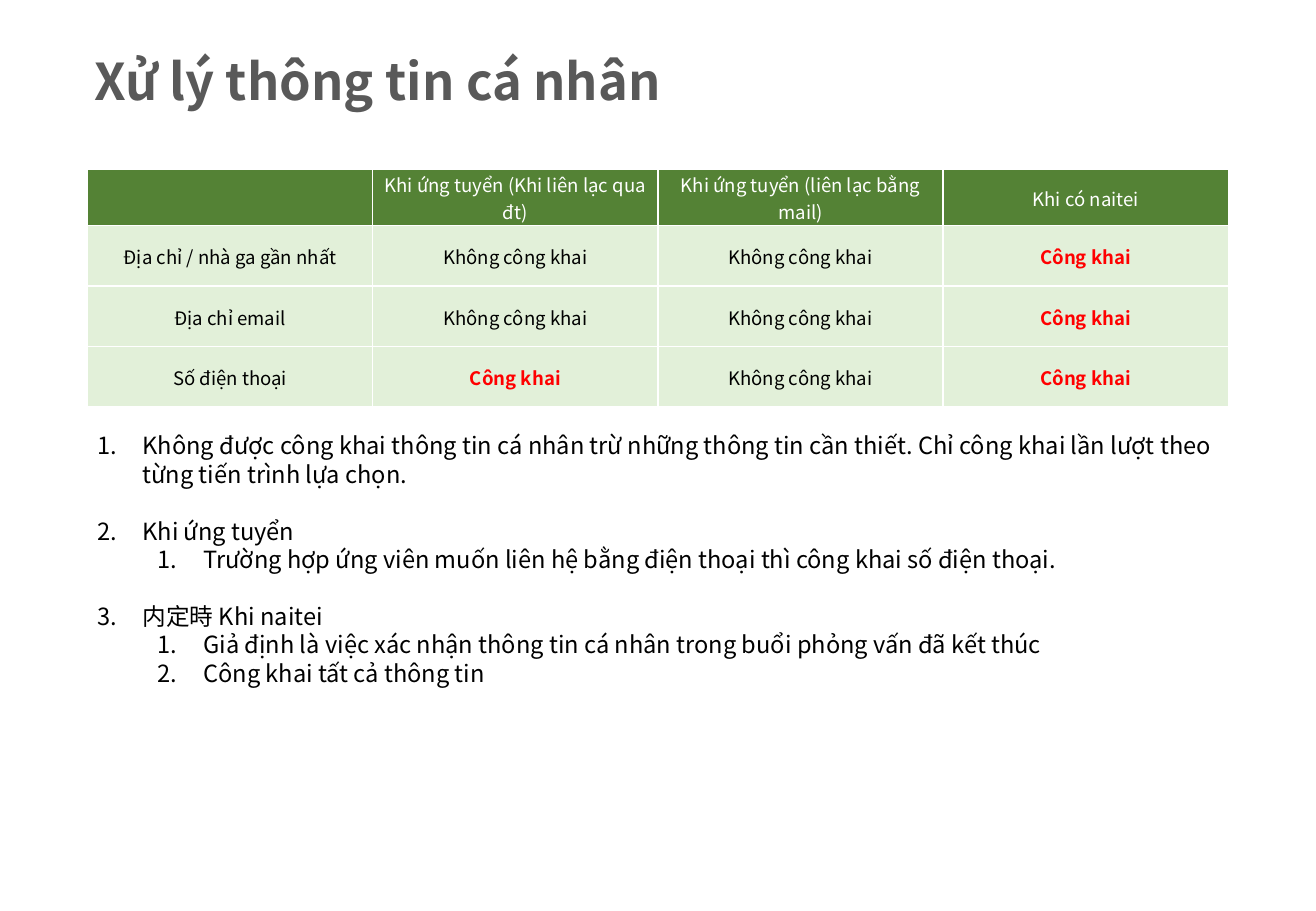
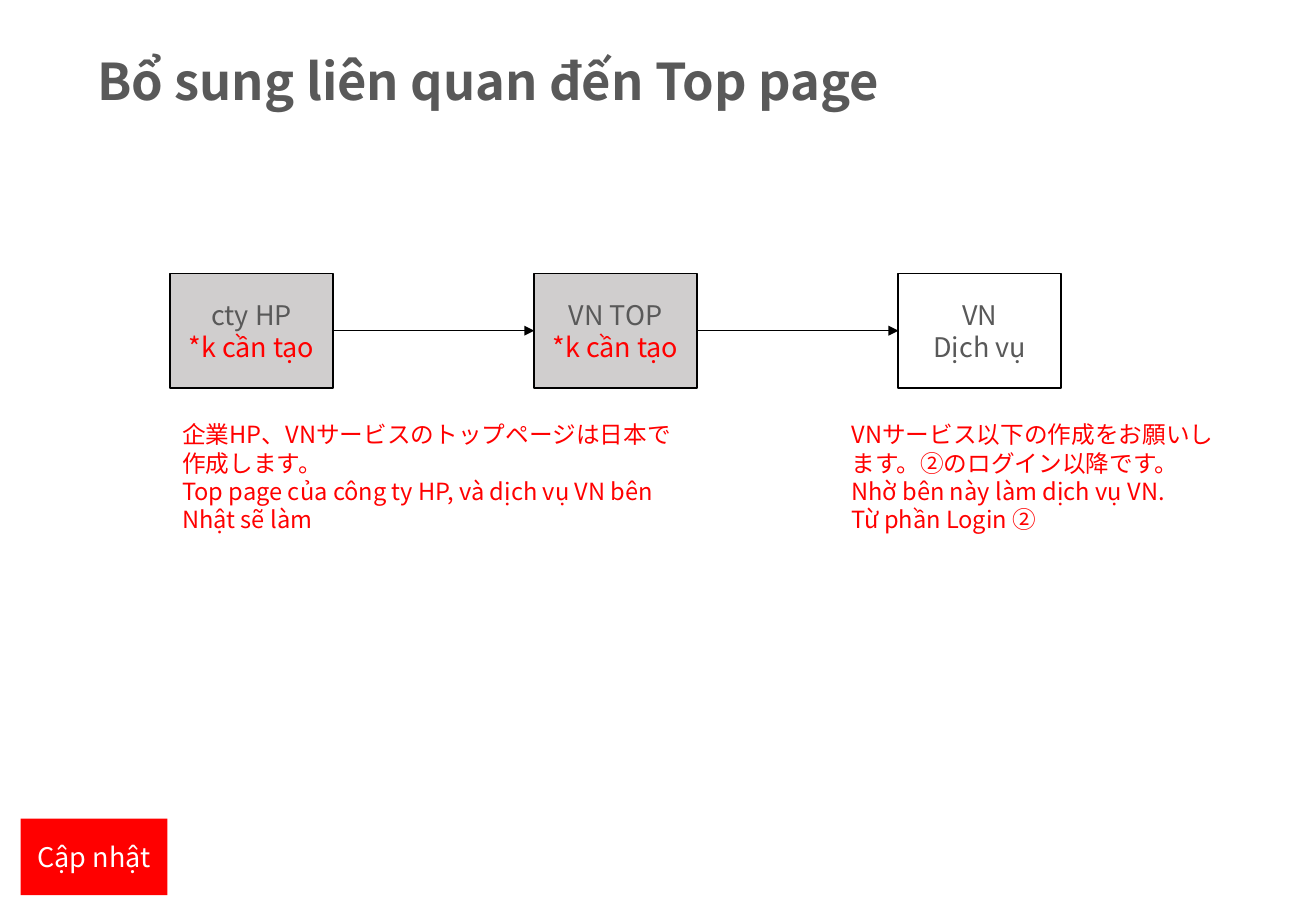
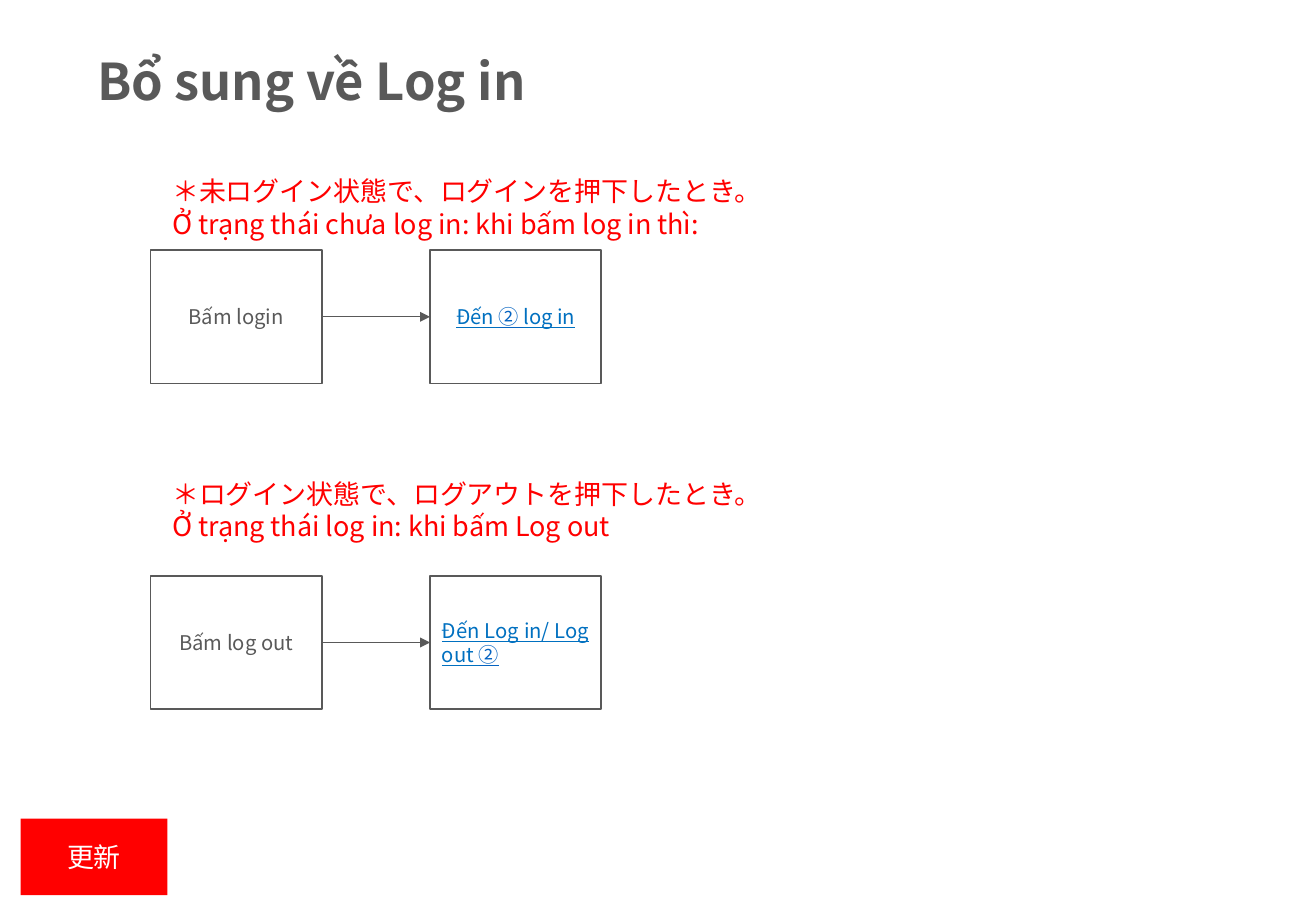
from dataclasses import dataclass

from lxml import etree
from pptx import Presentation
from pptx import util as u
from pptx.dml.color import RGBColor
from pptx.enum import shapes, text
from pptx.oxml import ns


@dataclass(frozen=True)
class Theme:
    font: str = "Noto Sans CJK JP"
    grey: str = "595959"
    black: str = "000000"
    white: str = "FFFFFF"
    red: str = "FF0000"
    blue: str = "0070C0"
    link: str = "0563C1"
    silver: str = "D0CECE"
    green: str = "548235"
    pale_green: str = "E2F0D9"
    title: int = 30
    large: int = 16
    body: int = 14
    small: int = 12
    cell: int = 11


@dataclass(frozen=True)
class Box:
    """An area on the page, in centimetres."""
    left: float
    top: float
    width: float
    height: float

    def lengths(self):
        return [u.Cm(v) for v in (self.left, self.top, self.width, self.height)]


@dataclass(frozen=True)
class Span:
    text: str
    colour: str
    bold: bool = False
    underline: bool = False


THEME = Theme()
ALIGN = text.PP_ALIGN


# Text helpers
def rgb(colour):
    return RGBColor.from_string(colour)


def add_span(para, span, size):
    run = para.add_run()
    run.text = span.text
    font = run.font
    font.size = u.Pt(size)
    font.bold = span.bold
    font.underline = span.underline
    font.color.rgb = rgb(span.colour)
    font.name = THEME.font
    east_asian = etree.SubElement(run._r.get_or_add_rPr(), ns.qn("a:ea"))
    east_asian.set("typeface", THEME.font)


def fill_text(frame, paragraphs, size, align=ALIGN.LEFT):
    """Write paragraphs, each a list of spans, and return them."""
    frame.word_wrap = True
    paras = []
    for index, spans in enumerate(paragraphs):
        para = frame.add_paragraph() if index else frame.paragraphs[0]
        para.alignment = align
        for span in spans:
            add_span(para, span, size)
        paras.append(para)
    return paras


def add_text(page, box, paragraphs, size):
    frame = page.shapes.add_textbox(*box.lengths()).text_frame
    return fill_text(frame, paragraphs, size)


def add_title(page, title, left=1.78):
    box = Box(left, 0.91, 23.85, 1.55)
    add_text(page, box, [[Span(title, THEME.grey, bold=True)]], THEME.title)


def add_note(page, box, lines, size):
    add_text(page, box, [[Span(line, THEME.red)] for line in lines], size)


# Shapes
def add_rectangle(page, box, paragraphs, size, fill=None, line=None, align=ALIGN.CENTER):
    shape = page.shapes.add_shape(shapes.MSO_SHAPE.RECTANGLE, *box.lengths())
    shape.shadow.inherit = False
    if fill:
        shape.fill.solid()
        shape.fill.fore_color.rgb = rgb(fill)
    else:
        shape.fill.background()
    if line:
        shape.line.color.rgb = rgb(line)
        shape.line.width = u.Pt(1)
    else:
        shape.line.fill.background()
    shape.text_frame.vertical_anchor = text.MSO_ANCHOR.MIDDLE
    fill_text(shape.text_frame, paragraphs, size, align)
    return shape


def add_arrow(page, start, end, colour):
    arrow = page.shapes.add_connector(shapes.MSO_CONNECTOR.STRAIGHT, 0, 0, 0, 0)
    arrow.begin_connect(start, 3)
    arrow.end_connect(end, 1)
    arrow.line.color.rgb = rgb(colour)
    arrow.line.width = u.Pt(0.5)
    etree.SubElement(arrow.line._get_or_add_ln(), ns.qn("a:tailEnd")).set("type", "triangle")
    etree.SubElement(arrow._element.spPr, ns.qn("a:effectLst"))


def add_flow(page, box, node_width, nodes, size, line):
    """Spread nodes (paragraphs, fill, alignment) evenly and link them by arrows."""
    step = (box.width - node_width) / (len(nodes) - 1)
    previous = None
    for index, (paragraphs, fill, align) in enumerate(nodes):
        area = Box(box.left + index * step, box.top, node_width, box.height)
        node = add_rectangle(page, area, paragraphs, size, fill, line, align)
        if previous is not None:
            add_arrow(page, previous, node, line)
        previous = node


def add_badge(page, label):
    add_rectangle(page, Box(0.43, 17.12, 3.07, 1.6), [[Span(label, THEME.white)]],
                  THEME.large, fill=THEME.red)


# Disclosure table
def style_cell(cell, fill):
    cell.margin_left = cell.margin_right = cell.margin_top = u.Cm(0.03)
    cell.margin_bottom = 0
    cell.vertical_anchor = text.MSO_ANCHOR.MIDDLE
    cell.fill.solid()
    cell.fill.fore_color.rgb = rgb(fill)
    properties = cell._tc.get_or_add_tcPr()
    for index, side in enumerate(("lnL", "lnR", "lnT", "lnB")):
        border = etree.Element(ns.qn("a:" + side), w=str(u.Pt(1)))
        solid = etree.SubElement(border, ns.qn("a:solidFill"))
        etree.SubElement(solid, ns.qn("a:srgbClr")).set("val", THEME.white)
        properties.insert(index, border)


def add_disclosure_table(page, box, rows, header_height):
    table = page.shapes.add_table(len(rows), len(rows[0]), *box.lengths()).table
    for column in table.columns:
        column.width = u.Cm(box.width / len(rows[0]))
    row_height = (box.height - header_height) / (len(rows) - 1)
    for r, row in enumerate(rows):
        table.rows[r].height = u.Cm(row_height if r else header_height)
        for c, label in enumerate(row):
            cell = table.cell(r, c)
            style_cell(cell, THEME.pale_green if r else THEME.green)
            public = label == "Công khai"
            colour = THEME.red if public else THEME.black if r else THEME.white
            para = cell.text_frame.paragraphs[0]
            para.alignment = ALIGN.CENTER
            if label:
                add_span(para, Span(label, colour, bold=public), THEME.cell)


# Numbered rules
def add_rules(page, box, rules):
    """Number the rules (level, text), with a gap before each top-level one."""
    spans = [[Span(rule, THEME.black)] for _, rule in rules]
    paras = add_text(page, box, spans, THEME.body)
    for index, (para, (level, _)) in enumerate(zip(paras, rules)):
        properties = para._p.get_or_add_pPr()
        properties.set("marL", str(u.Cm(0.95 + 1.27 * level)))
        properties.set("indent", str(u.Cm(-0.95)))
        numbering = etree.SubElement(properties, ns.qn("a:buAutoNum"))
        numbering.set("type", "arabicPeriod")
        para.level = level
        if index and level == 0:
            para.space_before = u.Pt(17)


# Slides
def build_privacy(page):
    add_title(page, "Xử lý thông tin cá nhân", left=1.73)
    hidden, public = "Không công khai", "Công khai"
    add_disclosure_table(page, Box(1.83, 3.53, 23.85, 4.98), [
        ["", "Khi ứng tuyển (Khi liên lạc qua đt)",
         "Khi ứng tuyển (liên lạc bằng mail)", "Khi có naitei"],
        ["Địa chỉ / nhà ga gần nhất", hidden, hidden, public],
        ["Địa chỉ email", hidden, hidden, public],
        ["Số điện thoại", public, hidden, public],
    ], header_height=1.19)
    add_rules(page, Box(1.78, 8.89, 23.85, 5.64), [
        (0, "Không được công khai thông tin cá nhân trừ những thông tin cần thiết. "
            "Chỉ công khai lần lượt theo từng tiến trình lựa chọn."),
        (0, "Khi ứng tuyển"),
        (1, "Trường hợp ứng viên muốn liên hệ bằng điện thoại thì công khai số điện thoại."),
        (0, "内定時 Khi naitei"),
        (1, "Giả định là việc xác nhận thông tin cá nhân trong buổi phỏng vấn đã kết thúc"),
        (1, "Công khai tất cả thông tin"),
    ])


def build_top_page(page):
    add_title(page, "Bổ sung liên quan đến Top page")
    not_needed = [Span("*k cần tạo", THEME.red)]
    add_flow(page, Box(3.56, 5.72, 18.62, 2.39), 3.4, [
        ([[Span("cty HP", THEME.grey)], not_needed], THEME.silver, ALIGN.CENTER),
        ([[Span("VN TOP", THEME.grey)], not_needed], THEME.silver, ALIGN.CENTER),
        ([[Span("VN", THEME.grey)], [Span("Dịch vụ", THEME.grey)]], None, ALIGN.CENTER),
    ], THEME.large, THEME.black)
    add_note(page, Box(3.56, 8.66, 11, 2.64), [
        "企業HP、VNサービスのトップページは日本で作成します。",
        "Top page của công ty HP, và dịch vụ VN bên Nhật sẽ làm",
    ], THEME.body)
    add_note(page, Box(17.55, 8.66, 8.2, 2.64), [
        "VNサービス以下の作成をお願いします。②のログイン以降です。",
        "Nhờ bên này làm dịch vụ VN.",
        "Từ phần Login ②",
    ], THEME.body)
    add_badge(page, "Cập nhật")


def add_login_case(page, note_top, flow_top, note, action, target, align):
    add_note(page, Box(3.35, note_top, 16.41, 1.63), note, THEME.large)
    add_flow(page, Box(3.15, flow_top, 9.42, 2.79), 3.58, [
        ([[Span(action, THEME.grey)]], None, ALIGN.CENTER),
        ([[Span(label, colour, underline=True) for label, colour in target]], None, align),
    ], THEME.small, THEME.grey)


def build_login(page):
    add_title(page, "Bổ sung về Log in")
    add_login_case(
        page, 3.53, 5.23,
        ["＊未ログイン状態で、ログインを押下したとき。",
         "Ở trạng thái chưa log in: khi bấm log in thì:"],
        "Bấm login",
        [("Đến ", THEME.blue), ("② ", THEME.link), ("log in", THEME.blue)],
        ALIGN.CENTER)
    add_login_case(
        page, 9.86, 12.04,
        ["＊ログイン状態で、ログアウトを押下したとき。",
         "Ở trạng thái log in: khi bấm Log out"],
        "Bấm log out",
        [("Đến Log in/ Log out ", THEME.blue), ("②", THEME.link)],
        ALIGN.JUSTIFY)
    add_badge(page, "更新")


def main():
    deck = Presentation()
    deck.slide_width, deck.slide_height = u.Cm(27.51), u.Cm(19.05)
    for build in (build_privacy, build_top_page, build_login):
        build(deck.slides.add_slide(deck.slide_layouts[6]))
    deck.save("out.pptx")


if __name__ == "__main__":
    main()
